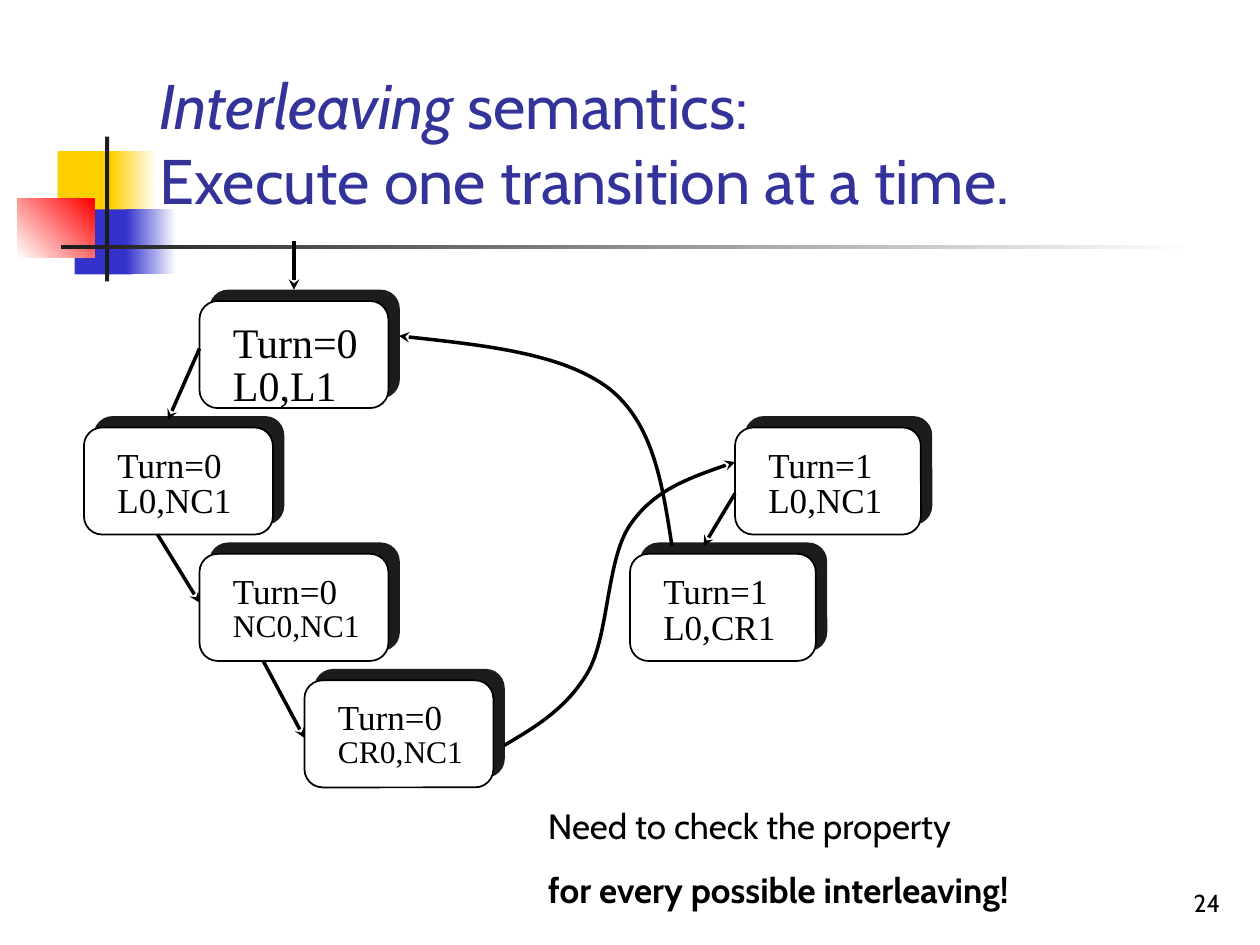
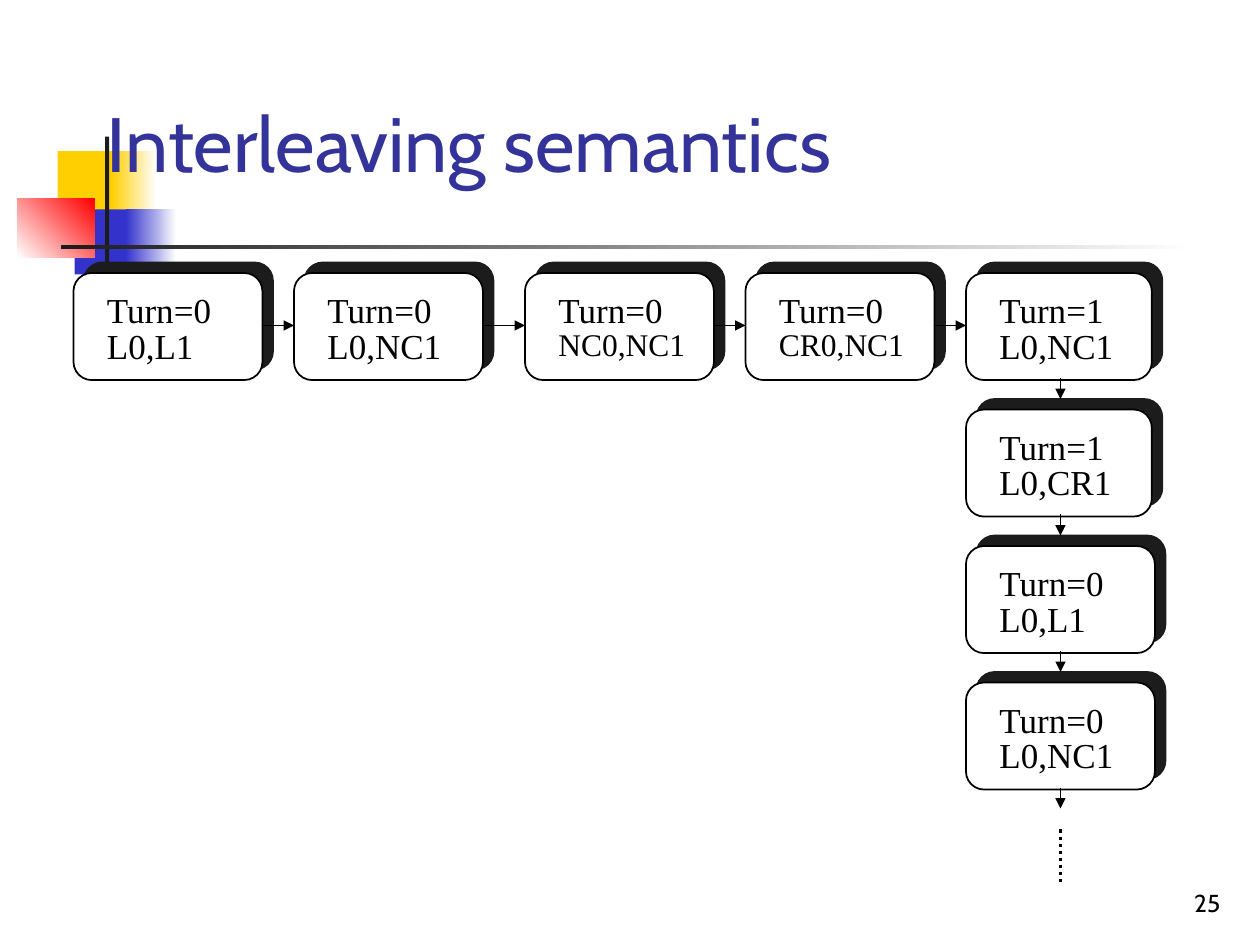
from dataclasses import dataclass
from lxml.etree import SubElement
from pptx import Presentation
from pptx.dml.color import RGBColor
from pptx.enum.dml import MSO_LINE
from pptx.enum.shapes import MSO_CONNECTOR, MSO_SHAPE
from pptx.enum.text import MSO_ANCHOR, PP_ALIGN
from pptx.oxml.ns import qn
from pptx.util import Inches, Pt


@dataclass(frozen=True)
class Theme:
    paper: str = "FFFFFF"
    ink: str = "000000"
    dark: str = "1C1C1C"
    heading: str = "333399"
    yellow: str = "FFCF01"
    blue: str = "3333CC"
    red: str = "FF0000"
    sans: str = "Cabin"
    serif: str = "Times New Roman"
    title: int = 44
    long_title: int = 36
    large: int = 24
    body: int = 20
    small: int = 18
    number: int = 14


theme = Theme()
deck = Presentation()
deck.slide_width, deck.slide_height = Inches(10), Inches(7.5)
column = deck.slide_width // 120
row = deck.slide_height // 90


def place(*cells):
    return [round(cell * (row if index % 2 else column)) for index, cell in enumerate(cells)]


def write(page, cells, lines, color, anchor=MSO_ANCHOR.TOP, align=PP_ALIGN.LEFT):
    frame = page.shapes.add_textbox(*place(*cells)).text_frame
    frame.word_wrap = True
    frame.vertical_anchor = anchor
    for index, (spacing, spans) in enumerate(lines):
        para = frame.paragraphs[0] if index == 0 else frame.add_paragraph()
        para.alignment = align
        for name, value in spacing.items():
            setattr(para, name, value)
        for text, formats in spans:
            for part, piece in enumerate(text.split("\n")):
                if part:
                    para.add_line_break()
                span = para.add_run()
                span.text = piece
                span.font.color.rgb = RGBColor.from_string(color)
                for name, value in formats.items():
                    setattr(span.font, name, value)


long_title = {"name": theme.sans, "size": Pt(theme.long_title)}
short_title = {"name": theme.sans, "size": Pt(theme.title)}
number = {"name": theme.sans, "size": Pt(theme.number)}
note = {"name": theme.sans, "size": Pt(theme.body)}

decorations = [
    ((5.5, 14.4, 5.8, 6.2), [theme.yellow], 0),
    ((10.6, 14.4, 4.3, 6.2), [theme.yellow, theme.paper], 0),
    ((7.1, 19.95, 5.5, 6.2), [theme.blue], 0),
    ((12, 19.95, 4.8, 6.2), [theme.blue, theme.paper], 0),
    ((1.65, 18.95, 7.35, 5.55), [theme.paper, theme.red], 45),
    ((10, 13, 0.4, 13.8), [theme.dark], 0),
    ((5.8, 23.35, 108, 0.4), [theme.dark, theme.paper], 0),
]
titles = [
    (24, (14, 6, 97, 15), [
        ("Interleaving", {**long_title, "italic": True}),
        (" semantics:\nExecute one transition at a time.", long_title),
    ]),
    (25, (9, 6, 102, 15), [("Interleaving semantics", short_title)]),
]

pages = []
for page_number, cells, spans in titles:
    page = deck.slides.add_slide(deck.slide_layouts[6])
    pages.append(page)
    for area, colors, angle in decorations:
        block = page.shapes.add_shape(MSO_SHAPE.RECTANGLE, *place(*area))
        block.shadow.inherit = False
        block.line.fill.background()
        if len(colors) == 1:
            block.fill.solid()
            block.fill.fore_color.rgb = RGBColor.from_string(colors[0])
        else:
            block.fill.gradient()
            block.fill.gradient_angle = angle
            for position, (stop, color) in enumerate(zip(block.fill.gradient_stops, colors)):
                stop.position = position
                stop.color.rgb = RGBColor.from_string(color)
    write(page, (92.4, 82, 25, 6), [({}, [(str(page_number), number)])],
          theme.ink, MSO_ANCHOR.BOTTOM, PP_ALIGN.RIGHT)
    write(page, cells, [({}, spans)], theme.heading, MSO_ANCHOR.MIDDLE)

graph, trace = pages
wide, narrow = 18, 17.7
graph_rows = [28.67 + 12.04 * level for level in range(4)]
trace_columns = [7, 28, 50, 71, 92]
trace_rows = [26 + 13 * level for level in range(4)]
states = [
    (graph, 19, graph_rows[0], wide, "Turn=0", "L0,L1", theme.large, theme.large),
    (graph, 8, graph_rows[1], wide, "Turn=0", "L0,NC1", theme.body, theme.body),
    (graph, 29, graph_rows[3], wide, "Turn=0", "CR0,NC1", theme.body, theme.small),
    (graph, 19, graph_rows[2], wide, "Turn=0", "NC0,NC1", theme.body, theme.small),
    (graph, 60, graph_rows[2], narrow, "Turn=1", "L0,CR1", theme.body, theme.body),
    (graph, 70, graph_rows[1], narrow, "Turn=1", "L0,NC1", theme.body, theme.body),
    (trace, trace_columns[0], trace_rows[0], wide, "Turn=0", "L0,L1", theme.body, theme.body),
    (trace, trace_columns[1], trace_rows[0], wide, "Turn=0", "L0,NC1", theme.body, theme.body),
    (trace, trace_columns[2], trace_rows[0], wide, "Turn=0", "NC0,NC1", theme.body, theme.small),
    (trace, trace_columns[3], trace_rows[0], wide, "Turn=0", "CR0,NC1", theme.body, theme.small),
    (trace, trace_columns[4], trace_rows[0], narrow, "Turn=1", "L0,NC1", theme.body, theme.body),
    (trace, trace_columns[4], trace_rows[1], narrow, "Turn=1", "L0,CR1", theme.body, theme.body),
    (trace, trace_columns[4], trace_rows[2], wide, "Turn=0", "L0,L1", theme.body, theme.body),
    (trace, trace_columns[4], trace_rows[3], wide, "Turn=0", "L0,NC1", theme.body, theme.body),
]
for page, left, top, width, turn, location, turn_size, location_size in states:
    box = page.shapes.add_shape(MSO_SHAPE.ROUNDED_RECTANGLE, *place(left, top, width, 10.2))
    box.adjustments[0] = 0.17
    box.fill.solid()
    box.fill.fore_color.rgb = RGBColor.from_string(theme.paper)
    box.line.color.rgb = RGBColor.from_string(theme.ink)
    box.line.width = Pt(1)
    box.shadow.inherit = False
    effects = box.element.spPr.find(qn("a:effectLst"))
    shadow = SubElement(effects, qn("a:outerShdw"), dist=str(Pt(8.5)), dir=str(315 * 60000),
                        algn="ctr", rotWithShape="0")
    SubElement(shadow, qn("a:srgbClr"), val=theme.dark)
    tight = {"line_spacing": 0.2, "space_before": Pt(location_size * 0.625)}
    write(page, (left + 2, top + 0.9, width - 3, 8), [
        ({}, [(turn, {"name": theme.serif, "size": Pt(turn_size)})]),
        (tight, [(location, {"name": theme.serif, "size": Pt(location_size)})]),
    ], theme.ink)

write(graph, (51, 76, 67, 11.3), [
    ({}, [("Need to check the property", note)]),
    ({"space_before": Pt(12.5)}, [("for every possible interleaving!", {**note, "bold": True})]),
], theme.ink)

bold_arrow = (2, "stealth", None)
thin_arrow = (0.75, "triangle", None)
steps = [
    (graph, (19, 33.2, 16, 40), bold_arrow),
    (graph, (15, 50.9, 19, 57.4), bold_arrow),
    (graph, (25.1, 63, 29, 70.3), bold_arrow),
    (graph, (70, 47, 67, 52), bold_arrow),
    (graph, (28, 23, 28, 27.6), bold_arrow),
]
for start, end in zip(trace_columns, trace_columns[1:]):
    steps.append((trace, (start + wide, 31, end, 31), thin_arrow))
for top in trace_rows:
    steps.append((trace, (101, top + 10, 101, top + 12), thin_arrow))
steps.append((trace, (101, 79, 101, 84), (2, None, MSO_LINE.ROUND_DOT)))

strokes = []
for page, ends, style in steps:
    link = page.shapes.add_connector(MSO_CONNECTOR.STRAIGHT, *place(*ends))
    strokes.append((link, style))

curves = [
    [(48, 71), (51, 69.24), (54, 67.44), (56, 64), (58, 60.5), (57.75, 53.3), (60, 50),
     (62.25, 46.7), (66.1, 45.35), (70, 44)],
    [(64, 52), (63.1, 46.2), (62.25, 40.35), (58, 37), (53.65, 33.7), (45.85, 32.85), (38, 32)],
]
for points in curves:
    start, *rest = [place(*point) for point in points]
    builder = graph.shapes.build_freeform(*start)
    builder.add_line_segments(rest, close=False)
    curve = builder.convert_to_shape()
    curve.fill.background()
    outline = curve.element.find(".//" + qn("a:path"))
    segments = outline.findall(qn("a:lnTo"))
    for first in range(0, len(segments), 3):
        bend = SubElement(outline, qn("a:cubicBezTo"))
        for segment in segments[first:first + 3]:
            bend.append(segment[0])
            outline.remove(segment)
    curve.shadow.inherit = False
    strokes.append((curve, bold_arrow))

for stroke, (weight, head, dash) in strokes:
    stroke.line.color.rgb = RGBColor.from_string(theme.ink)
    stroke.line.width = Pt(weight)
    if dash:
        stroke.line.dash_style = dash
    properties = stroke.element.spPr
    if head:
        SubElement(properties.find(qn("a:ln")), qn("a:tailEnd"), type=head)
    if properties.find(qn("a:effectLst")) is None:
        SubElement(properties, qn("a:effectLst"))

deck.save("out.pptx")
